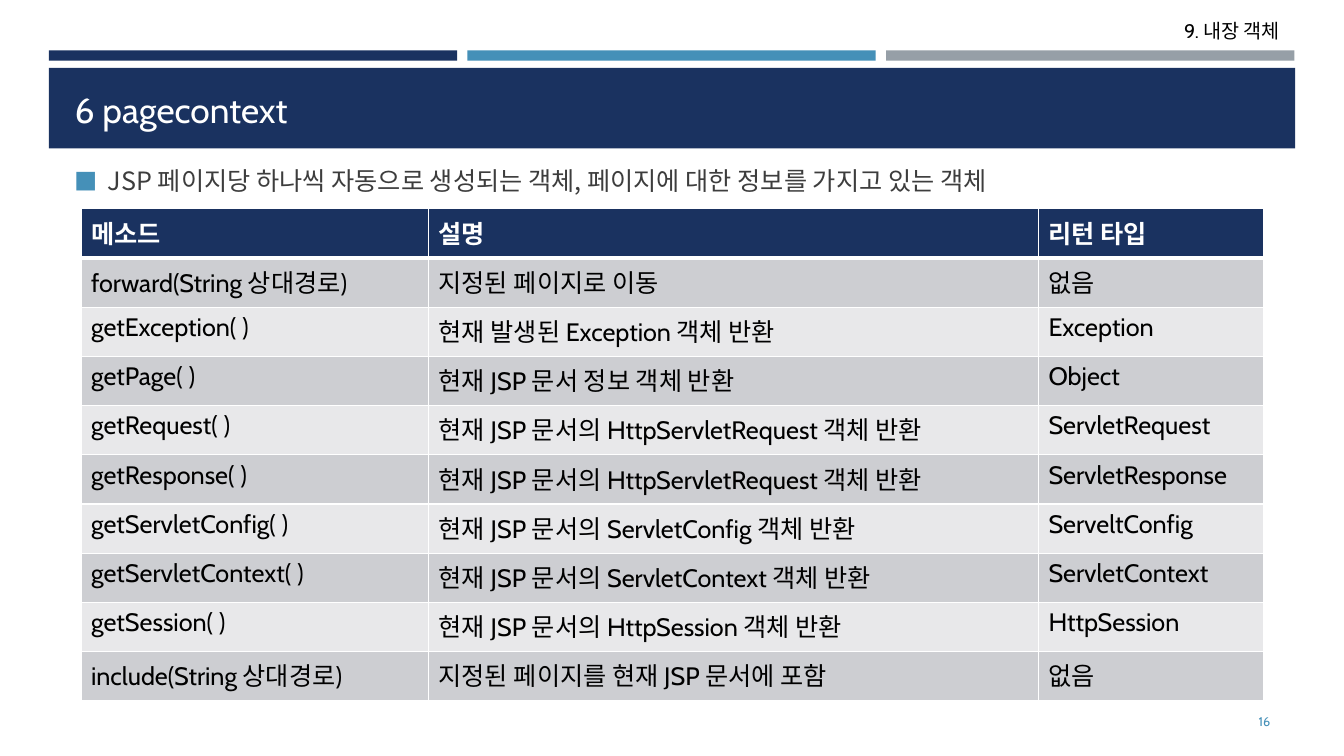
"""Build the slide on the pagecontext object and its methods."""
from dataclasses import dataclass

from lxml import etree
from pptx import Presentation
from pptx.dml.color import RGBColor
from pptx.enum.shapes import MSO_SHAPE
from pptx.enum.text import MSO_ANCHOR, PP_ALIGN
from pptx.oxml.ns import qn
from pptx.util import Cm, Pt

RECT = MSO_SHAPE.RECTANGLE
LEFT, RIGHT = PP_ALIGN.LEFT, PP_ALIGN.RIGHT
TOP, MID, BASE = MSO_ANCHOR.TOP, MSO_ANCHOR.MIDDLE, MSO_ANCHOR.BOTTOM
LATIN, HANGUL = "Cabin", "Noto Sans CJK KR"
NAVY, BLUE, GRAY, WHITE, BLACK = "1A3260", "4590B8", "969FA7", "FFFFFF", "000000"
BANDS = ("E8E8EA", "CDCED2")
WIDTHS = (8.76, 15.37, 5.67)
HEIGHT = 1.24
ROWS = (
    ("메소드", "설명", "리턴 타입"),
    ("forward(String 상대경로)", "지정된 페이지로 이동", "없음"),
    ("getException( )", "현재 발생된 Exception 객체 반환", "Exception"),
    ("getPage( )", "현재 JSP 문서 정보 객체 반환", "Object"),
    ("getRequest( )", "현재 JSP 문서의 HttpServletRequest 객체 반환", "ServletRequest"),
    ("getResponse( )", "현재 JSP 문서의 HttpServletRequest 객체 반환", "ServletResponse"),
    ("getServletConfig( )", "현재 JSP 문서의 ServletConfig 객체 반환", "ServeltConfig"),
    ("getServletContext( )", "현재 JSP 문서의 ServletContext 객체 반환", "ServletContext"),
    ("getSession( )", "현재 JSP 문서의 HttpSession 객체 반환", "HttpSession"),
    ("include(String 상대경로)", "지정된 페이지를 현재 JSP 문서에 포함", "없음"),
)


@dataclass
class Bar:
    """A filled rectangle, in centimetres."""
    left: float
    top: float
    width: float
    height: float
    fill: str


@dataclass
class Label:
    """A text box, in centimetres and points."""
    text: str
    left: float
    top: float
    width: float
    height: float
    size: float
    color: str
    font: str = LATIN
    align: PP_ALIGN = LEFT
    anchor: MSO_ANCHOR = TOP
    bullet: bool = False


BARS = [Bar(1.23 + 10.55 * n, 1.27, 10.29, 0.26, fill)
        for n, fill in enumerate((NAVY, BLUE, GRAY))]
BARS.append(Bar(1.23, 1.71, 31.41, 2.03, NAVY))
LABELS = (
    Label("9. 내장 객체", 22.25, 0.36, 10.26, 0.86, 14, BLACK, align=RIGHT),
    Label("6 pagecontext", 1.63, 1.96, 30.63, 1.45, 25.2, WHITE, anchor=BASE),
    Label("JSP 페이지당 하나씩 자동으로 생성되는 객체, 페이지에 대한 정보를 가지고 있는 객체",
          1.63, 4.04, 30.63, 13.41, 18, "3D3D3D", font=HANGUL, bullet=True),
    Label("16", 29.34, 17.68, 2.92, 1.02, 9, BLUE, align=RIGHT, anchor=MID),
)


def rgb(code: str) -> RGBColor:
    """Turn a hex string into a colour."""
    return RGBColor.from_string(code)


def style(para, size: float, color: str, font: str = LATIN, bold: bool = False) -> None:
    """Format every run of a paragraph."""
    for run in para.runs:
        run.font.size = Pt(size)
        run.font.bold = bold
        run.font.name = font
        run.font.color.rgb = rgb(color)
        etree.SubElement(run._r.rPr, qn("a:ea"), typeface=HANGUL)


def add_bullet(para) -> None:
    """Give a paragraph a square bullet and a hanging indent."""
    props = para._p.get_or_add_pPr()
    props.set("marL", str(Cm(0.84)))
    props.set("indent", str(Cm(-0.84)))
    tint = etree.SubElement(props, qn("a:buClr"))
    etree.SubElement(tint, qn("a:srgbClr"), val=BLUE)
    etree.SubElement(props, qn("a:buSzPct"), val="92000")
    etree.SubElement(props, qn("a:buFont"), typeface=HANGUL)
    etree.SubElement(props, qn("a:buChar"), char="■")


def add_bar(slide, bar: Bar) -> None:
    """Draw one bar."""
    shape = slide.shapes.add_shape(
        RECT, Cm(bar.left), Cm(bar.top), Cm(bar.width), Cm(bar.height))
    shape.shadow.inherit = False
    shape.fill.solid()
    shape.fill.fore_color.rgb = rgb(bar.fill)
    shape.line.fill.background()


def add_label(slide, label: Label) -> None:
    """Draw one text box."""
    box = slide.shapes.add_textbox(
        Cm(label.left), Cm(label.top), Cm(label.width), Cm(label.height))
    frame = box.text_frame
    frame.word_wrap = True
    frame.vertical_anchor = label.anchor
    frame.text = label.text
    para = frame.paragraphs[0]
    para.alignment = label.align
    style(para, label.size, label.color, label.font)
    if label.bullet:
        para.space_before = Pt(3.6)
        para.space_after = Pt(6)
        add_bullet(para)


def add_edge(cell, side: str, width: float) -> None:
    """Draw one white border of a cell."""
    edge = etree.SubElement(cell._tc.get_or_add_tcPr(), qn(f"a:ln{side}"), w=str(Pt(width)))
    fill = etree.SubElement(edge, qn("a:solidFill"))
    etree.SubElement(fill, qn("a:srgbClr"), val=WHITE)


def add_grid(slide) -> None:
    """Draw the table of methods."""
    frame = slide.shapes.add_table(
        len(ROWS), len(WIDTHS), Cm(2.04), Cm(5.26), Cm(sum(WIDTHS)), Cm(HEIGHT * len(ROWS)))
    table = frame.table
    for col, width in zip(table.columns, WIDTHS):
        col.width = Cm(width)
    for r, texts in enumerate(ROWS):
        table.rows[r].height = Cm(HEIGHT)
        head = r == 0
        edges = {"L": 1, "R": 1, "T": 3 if r == 1 else 1, "B": 3 if head else 1}
        for c, text in enumerate(texts):
            cell = table.cell(r, c)
            cell.text_frame.text = text
            style(cell.text_frame.paragraphs[0], 18, WHITE if head else BLACK, bold=head)
            for side, width in edges.items():
                add_edge(cell, side, width)
            cell.fill.solid()
            cell.fill.fore_color.rgb = rgb(NAVY if head else BANDS[r % 2])


def main() -> None:
    """Build and save the slide."""
    deck = Presentation()
    deck.slide_width, deck.slide_height = Cm(33.87), Cm(19.05)
    slide = deck.slides.add_slide(deck.slide_layouts[6])
    for bar in BARS:
        add_bar(slide, bar)
    for label in LABELS:
        add_label(slide, label)
    add_grid(slide)
    deck.save("out.pptx")


if __name__ == "__main__":
    main()
